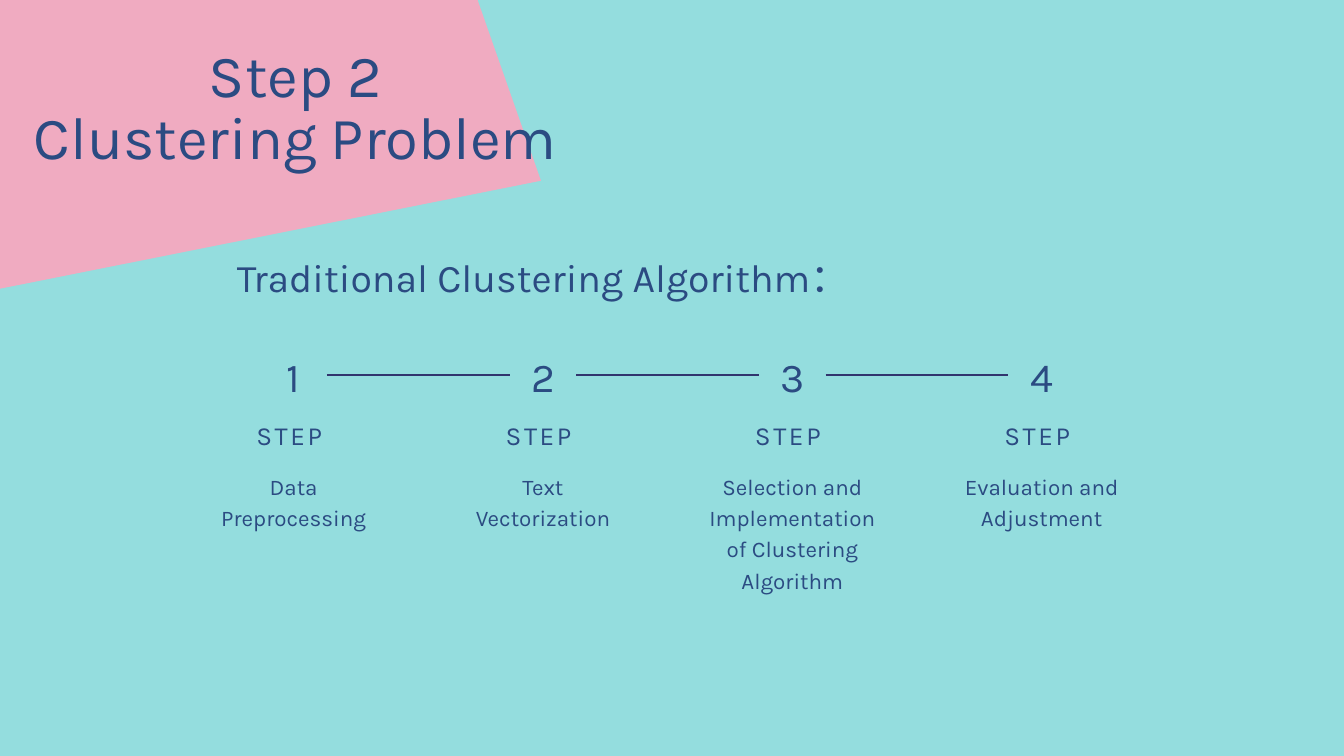
from pptx import Presentation
from pptx.dml.color import RGBColor
from pptx.enum import shapes, text
from pptx.oxml.ns import qn
from pptx.util import Inches, Pt

TEAL, PINK, INK, RULE = "94DDDE", "F0ABC1", "2B4B82", "31356E"
FONT = "Karla"

TITLE = ["Step 2", "Clustering Problem"]
HEADING = "Traditional Clustering Algorithm"
STEPS = [
    "Data Preprocessing",
    "Text Vectorization",
    "Selection and Implementation of Clustering Algorithm",
    "Evaluation and Adjustment",
]
CORNER = [(8.05, 2.69), (3.84, -9.32), (-4.43, 5.18)]

FIRST_CENTER, PITCH = 4.37, 3.71
NUMBER_TOP, NUMBER_W, NUMBER_H = 5.09, 0.99, 0.97
LABEL_W, LABEL_TOP, DETAIL_TOP = 2.63, 6.16, 6.97


def rgb(color):
    return RGBColor.from_string(color)


def paint(shape, color):
    """Flat fill with no outline and no shadow."""
    shape.fill.solid()
    shape.fill.fore_color.rgb = rgb(color)
    shape.line.fill.background()
    shape.shadow.inherit = False


def add_run(paragraph, words, size, font=FONT, spacing=0):
    run = paragraph.add_run()
    run.text = words
    run.font.name = font
    run.font.size = Pt(size)
    run.font.color.rgb = rgb(INK)
    if spacing:
        run.font._element.set("spc", str(round(spacing * 100)))


def write(shape, lines, size, leading, spacing=0, anchor=text.MSO_ANCHOR.TOP, bottom=0):
    """Fill a shape with centred paragraphs; return the last one."""
    frame = shape.text_frame
    frame.word_wrap = True
    frame.auto_size = text.MSO_AUTO_SIZE.NONE
    frame.vertical_anchor = anchor
    frame.margin_left = frame.margin_right = frame.margin_top = 0
    frame.margin_bottom = Inches(bottom)
    for i, line in enumerate(lines):
        paragraph = frame.add_paragraph() if i else frame.paragraphs[0]
        paragraph.alignment = text.PP_ALIGN.CENTER
        paragraph.line_spacing = Pt(leading)
        paragraph.space_before = Pt(0)
        add_run(paragraph, line, size, spacing=spacing)
    return paragraph


def add_text(slide, box, lines, size, leading, **fmt):
    shape = slide.shapes.add_textbox(*map(Inches, box))
    return write(shape, lines, size, leading, **fmt)


def add_corner(slide):
    start, *rest = [(Inches(x), Inches(y)) for x, y in CORNER]
    builder = slide.shapes.build_freeform(*start, scale=1.0)
    builder.add_line_segments(rest, close=True)
    paint(builder.convert_to_shape(), PINK)


def add_title(slide):
    title = slide.shapes.title
    title.element.getparent().append(title.element)  # in front of the corner
    title.left, title.top = Inches(-4.43), Inches(0.69)
    title.width, title.height = Inches(17.65), Inches(2.82)
    write(title, TITLE, 64, 67.2)


def add_step(slide, index, detail):
    """Draw one numbered step and return its number box."""
    center = FIRST_CENTER + index * PITCH
    number = slide.shapes.add_shape(
        shapes.MSO_SHAPE.RECTANGLE, Inches(center - NUMBER_W / 2),
        Inches(NUMBER_TOP), Inches(NUMBER_W), Inches(NUMBER_H))
    paint(number, TEAL)
    write(number, [str(index + 1)], 44, 61.6, spacing=7.5,
          anchor=text.MSO_ANCHOR.MIDDLE, bottom=0.09)
    left = center - LABEL_W / 2
    add_text(slide, (left, LABEL_TOP, LABEL_W, 0.52), ["STEP "], 28, 39.2, spacing=2.8)
    add_text(slide, (left, DETAIL_TOP, LABEL_W, 1.83), [detail], 24, 33.6)
    return number


def join(slide, before, after):
    link = slide.shapes.add_connector(shapes.MSO_CONNECTOR.STRAIGHT, 0, 0, 0, 0)
    link.begin_connect(before, 3)
    link.end_connect(after, 1)
    link.line.color.rgb = rgb(RULE)
    link.line.width = Pt(2.25)
    properties = link._element.spPr
    properties.append(properties.makeelement(qn("a:effectLst"), {}))


def main():
    deck = Presentation()
    deck.slide_width, deck.slide_height = Inches(20), Inches(11.25)
    slide = deck.slides.add_slide(deck.slide_layouts[5])
    slide.background.fill.solid()
    slide.background.fill.fore_color.rgb = rgb(TEAL)

    add_corner(slide)
    add_title(slide)
    heading = add_text(slide, (3.44, 3.66, 9.29, 0.78), [HEADING], 42, 58.8)
    add_run(heading, "：", 42, font="Calibri")

    numbers = [add_step(slide, i, detail) for i, detail in enumerate(STEPS)]
    for before, after in zip(numbers, numbers[1:]):
        join(slide, before, after)
    deck.save("out.pptx")


if __name__ == "__main__":
    main()
